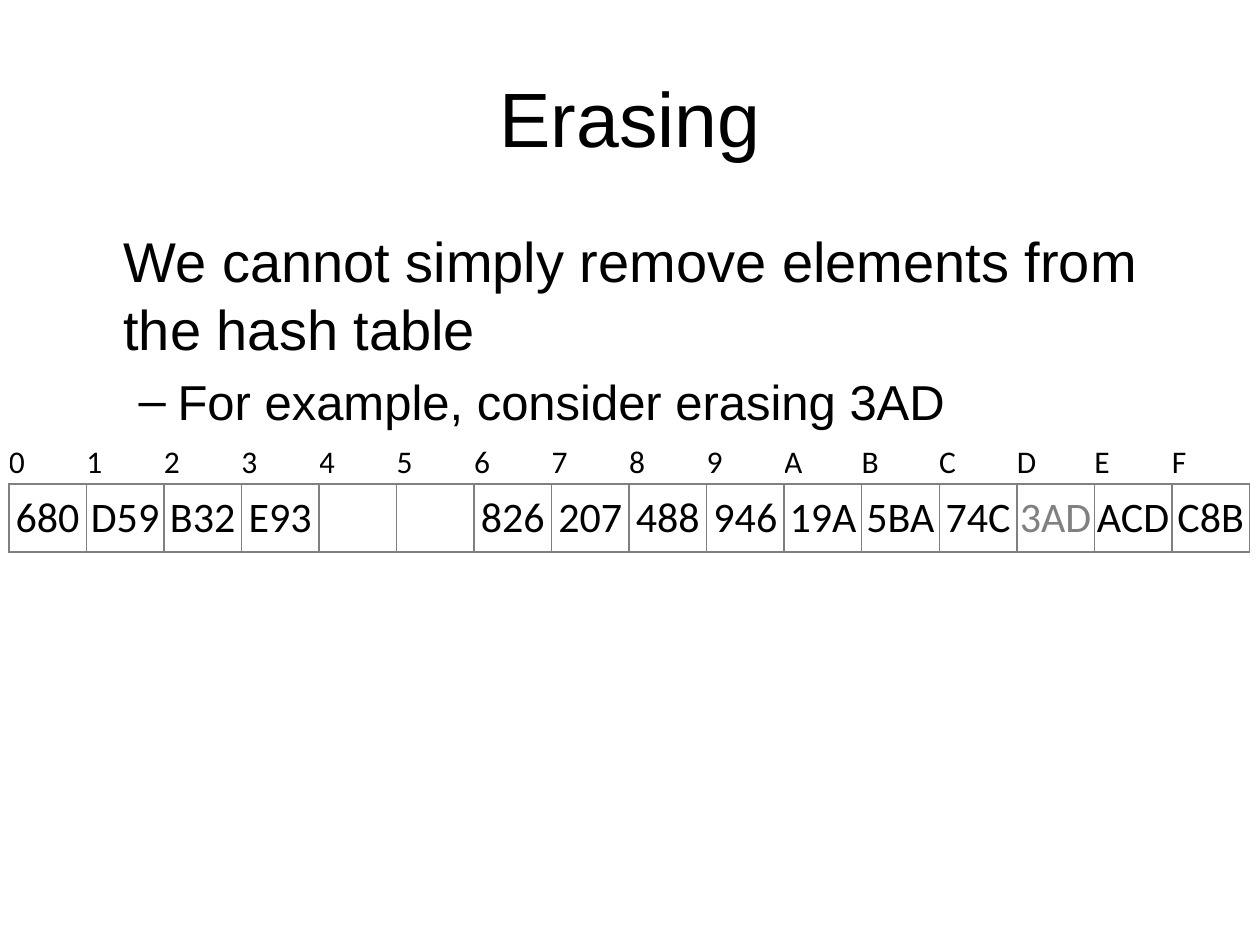
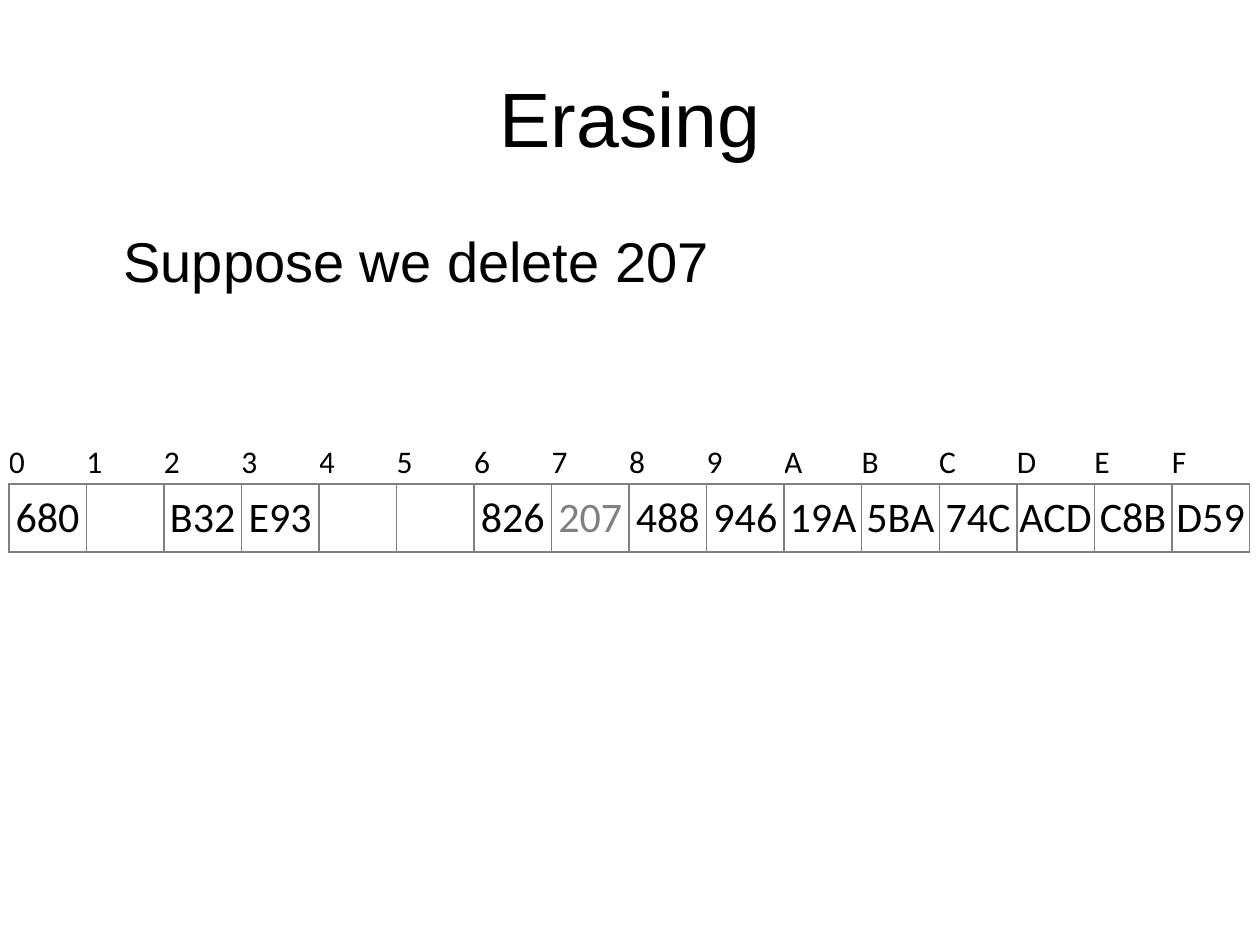
"""Build two slides that show erasing entries from a hash table."""
from lxml import etree
from pptx import Presentation
from pptx import util as u
from pptx.dml.color import RGBColor
from pptx.enum import text
from pptx.oxml import ns

BLACK, GREY = "000000", "808080"
TITLE_BOX = (0.5, 0.3, 9, 1.25)
BODY_BOX = (0.5, 1.75, 9, 4.95)
TABLE_BOX = (0.07, 3.51, 9.85, 0.87)
ROW_HEIGHTS = (0.33, 0.54)
BINS = "0123456789ABCDEF"
LEVELS = [
    {"size": 32, "margin": 0.38, "indent": 0, "bullet": None},
    {"size": 28, "margin": 0.81, "indent": -0.31, "bullet": "\u2013"},
]
SLIDES = [
    {
        "title": "Erasing",
        "body": [
            (0, "We cannot simply remove elements from the hash table"),
            (1, "For example, consider erasing 3AD"),
        ],
        "entries": ["680", "D59", "B32", "E93", "", "", "826", "207",
                    "488", "946", "19A", "5BA", "74C", "3AD", "ACD", "C8B"],
        "erased": "3AD",
    },
    {
        "title": "Erasing",
        "body": [(0, "Suppose we delete 207")],
        "entries": ["680", "", "B32", "E93", "", "", "826", "207",
                    "488", "946", "19A", "5BA", "74C", "ACD", "C8B", "D59"],
        "erased": "207",
    },
]


def color(value):
    return RGBColor.from_string(value)


def place(shape, box):
    shape.left, shape.top, shape.width, shape.height = map(u.Inches, box)


def add_run(paragraph, words, size, font, shade=BLACK):
    run = paragraph.add_run()
    run.text = words
    run.font.size = u.Pt(size)
    run.font.name = font
    run.font.color.rgb = color(shade)


def set_bullet(paragraph, margin, indent, bullet):
    properties = paragraph._p.get_or_add_pPr()
    properties.set("marL", str(u.Inches(margin)))
    properties.set("indent", str(u.Inches(indent)))
    if bullet:
        etree.SubElement(properties, ns.qn("a:buChar")).set("char", bullet)
    else:
        etree.SubElement(properties, ns.qn("a:buNone"))


def set_borders(cell, sides):
    properties = cell._tc.get_or_add_tcPr()
    for position, side in enumerate(sides):
        line = etree.Element(ns.qn(f"a:ln{side}"), w=str(u.Pt(1)))
        fill = etree.SubElement(line, ns.qn("a:solidFill"))
        etree.SubElement(fill, ns.qn("a:srgbClr")).set("val", GREY)
        properties.insert(position, line)


def fill_title(shape, words):
    place(shape, TITLE_BOX)
    frame = shape.text_frame
    frame.vertical_anchor = text.MSO_ANCHOR.MIDDLE
    frame.paragraphs[0].alignment = text.PP_ALIGN.CENTER
    add_run(frame.paragraphs[0], words, 44, "Arial")


def fill_body(shape, lines):
    place(shape, BODY_BOX)
    frame = shape.text_frame
    frame.auto_size = text.MSO_AUTO_SIZE.NONE
    for number, (level, words) in enumerate(lines):
        paragraph = frame.add_paragraph() if number else frame.paragraphs[0]
        style = LEVELS[level]
        paragraph.level = level
        paragraph.space_before = u.Pt(0.2 * style["size"])
        set_bullet(paragraph, style["margin"], style["indent"], style["bullet"])
        add_run(paragraph, words, style["size"], "Arial")


def fill_cell(cell, words, size, alignment, shade, sides):
    cell.margin_left = cell.margin_right = cell.margin_top = cell.margin_bottom = 0
    cell.vertical_anchor = text.MSO_ANCHOR.MIDDLE
    cell.fill.background()
    set_borders(cell, sides)
    paragraph = cell.text_frame.paragraphs[0]
    paragraph.alignment = alignment
    if words:
        add_run(paragraph, words, size, "Calibri", shade)


def add_hash_table(slide, entries, erased):
    table = slide.shapes.add_table(2, len(BINS), *map(u.Inches, TABLE_BOX)).table
    table.first_row = table.horz_banding = False
    for row, height in zip(table.rows, ROW_HEIGHTS):
        row.height = u.Inches(height)
    for column, (label, entry) in enumerate(zip(BINS, entries)):
        table.columns[column].width = u.Inches(TABLE_BOX[2] / len(BINS))
        shade = GREY if entry == erased else BLACK
        fill_cell(table.cell(0, column), label, 18, text.PP_ALIGN.LEFT, BLACK, "B")
        fill_cell(table.cell(1, column), entry, 24, text.PP_ALIGN.CENTER, shade, "LRTB")


presentation = Presentation()
presentation.slide_width, presentation.slide_height = u.Inches(10), u.Inches(7.5)
for content in SLIDES:
    slide = presentation.slides.add_slide(presentation.slide_layouts[1])
    fill_title(slide.shapes.title, content["title"])
    fill_body(slide.placeholders[1], content["body"])
    add_hash_table(slide, content["entries"], content["erased"])
presentation.save("out.pptx")
